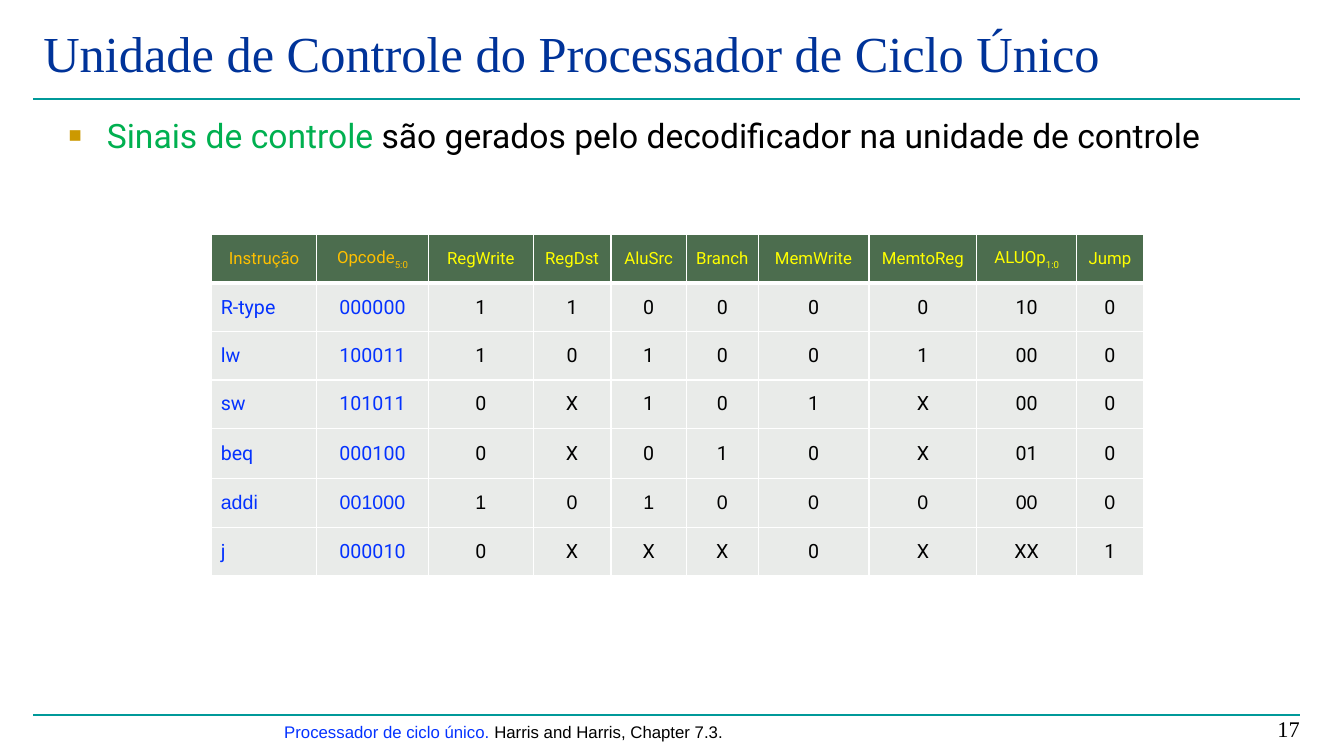
from lxml.etree import SubElement
from pptx import Presentation
from pptx.dml.color import RGBColor
from pptx.enum.shapes import MSO_CONNECTOR
from pptx.enum.text import MSO_ANCHOR as ANCHOR, MSO_AUTO_SIZE as AUTO, PP_ALIGN as ALIGN
from pptx.oxml import parse_xml
from pptx.oxml.ns import nsdecls, qn
from pptx.util import Inches, Pt

WHITE = RGBColor(0xFF, 0xFF, 0xFF)
BLACK = RGBColor(0x00, 0x00, 0x00)
TEAL = RGBColor(0x00, 0x99, 0x99)
NAVY = RGBColor(0x00, 0x33, 0x99)
BLUE = RGBColor(0x04, 0x32, 0xFF)
GREEN = RGBColor(0x00, 0xB0, 0x50)
GOLD = RGBColor(0xCC, 0x99, 0x00)
AMBER = RGBColor(0xFF, 0xC0, 0x00)
YELLOW = RGBColor(0xFF, 0xFF, 0x00)
HEADER_FILL = RGBColor(0x4C, 0x6D, 0x4E)
ROW_FILL = RGBColor(0xE9, 0xEB, 0xE9)

COLUMN_WIDTHS = [1.04, 1.11, 1.04, 0.77, 0.75, 0.71, 1.1, 1.07, 0.99, 0.66]
ROW_HEIGHTS = [0.48, 0.48, 0.48, 0.48, 0.5, 0.48, 0.48]
# A header is a name, or a name and its subscript
HEADERS = ["Instrução", ("Opcode", "5:0"), "RegWrite", "RegDst", "AluSrc",
           "Branch", "MemWrite", "MemtoReg", ("ALUOp", "1:0"), "Jump"]
INSTRUCTIONS = [
    "R-type 000000 1 1 0 0 0 0 10 0",
    "lw 100011 1 0 1 0 0 1 00 0",
    "sw 101011 0 X 1 0 1 X 00 0",
    "beq 000100 0 X 0 1 0 X 01 0",
    "addi 001000 1 0 1 0 0 0 00 0",
    "j 000010 0 X X X 0 X XX 1",
]


def add_run(p, text, font="Roboto", size=12, color=BLACK, baseline=0):
    r = p.add_run()
    r.text = text
    r.font.name, r.font.size = font, Pt(size)
    r.font.color.rgb = color
    if baseline:
        r._r.get_or_add_rPr().set("baseline", str(baseline * 1000))


def add_bullet(p, char, color, percent, indent):
    pPr = p._p.get_or_add_pPr()
    pPr.set("marL", str(Inches(indent)))
    pPr.set("indent", str(-Inches(indent)))
    SubElement(SubElement(pPr, qn("a:buClr")), qn("a:srgbClr"), val=str(color))
    SubElement(pPr, qn("a:buSzPct"), val=str(percent * 1000))
    SubElement(pPr, qn("a:buFont"), typeface="Arial")
    SubElement(pPr, qn("a:buChar"), char=char)


def set_borders(cell, **widths):
    """Draw white borders, with a width in points for each of L, R, T and B."""
    tcPr = cell._tc.get_or_add_tcPr()
    for i, side in enumerate("LRTB"):
        tcPr.insert(i, parse_xml(
            f'<a:ln{side} {nsdecls("a")} w="{Pt(widths.get(side, 1))}">'
            f'<a:solidFill><a:srgbClr val="{WHITE}"/></a:solidFill></a:ln{side}>'))


class SlideBuilder:
    def __init__(self, prs):
        self.s = prs.slides.add_slide(prs.slide_layouts[1])

    def rule(self, y):
        line = self.s.shapes.add_connector(
            MSO_CONNECTOR.STRAIGHT, Inches(0.33), Inches(y), Inches(12.89), Inches(y))
        line.line.color.rgb, line.line.width = TEAL, Pt(1.5)
        SubElement(line._element.spPr, qn("a:effectLst"))

    def fill_text(self, sp, box, runs, align=ALIGN.LEFT, anchor=ANCHOR.TOP):
        sp.left, sp.top, sp.width, sp.height = map(Inches, box)
        tf = sp.text_frame
        tf.word_wrap, tf.auto_size, tf.vertical_anchor = True, AUTO.NONE, anchor
        p = tf.paragraphs[0]
        p.alignment, p.space_before = align, Pt(0)
        for text, style in runs:
            add_run(p, text, **style)
        return p

    def title(self, box, text):
        self.fill_text(self.s.shapes.title, box,
                       [(text, dict(font="Times New Roman", size=36, color=NAVY))])

    def body(self, box, runs):
        p = self.fill_text(self.s.placeholders[1], box, runs)
        add_bullet(p, "■", GOLD, 65, 0.38)

    def text(self, box, runs, **layout):
        sp = self.s.shapes.add_textbox(*map(Inches, box))
        self.fill_text(sp, box, runs, **layout)

    def cell(self, cell, runs, fill, align=ALIGN.CENTER, **borders):
        set_borders(cell, **borders)
        cell.fill.solid()
        cell.fill.fore_color.rgb = fill
        cell.vertical_anchor = ANCHOR.MIDDLE
        cell.margin_left = cell.margin_right = Inches(0.09)
        p = cell.text_frame.paragraphs[0]
        p.alignment = align
        for text, style in runs:
            add_run(p, text, **style)

    def signal_table(self, left, top):
        table = self.s.shapes.add_table(
            len(ROW_HEIGHTS), len(COLUMN_WIDTHS), Inches(left), Inches(top),
            Inches(sum(COLUMN_WIDTHS)), Inches(sum(ROW_HEIGHTS))).table
        for column, width in zip(table.columns, COLUMN_WIDTHS):
            column.width = Inches(width)
        for row, height in zip(table.rows, ROW_HEIGHTS):
            row.height = Inches(height)
        for c, header in enumerate(HEADERS):
            color = AMBER if c < 2 else YELLOW
            name, *subscript = [header] if isinstance(header, str) else header
            runs = [(name, dict(color=color))]
            runs += [(sub, dict(color=color, baseline=-30)) for sub in subscript]
            self.cell(table.cell(0, c), runs, HEADER_FILL, B=3)
        for r, instruction in enumerate(INSTRUCTIONS, 1):
            font = "Arial" if instruction.startswith("addi") else "Roboto"
            for c, value in enumerate(instruction.split()):
                style = dict(font=font, size=14, color=BLUE if c < 2 else BLACK)
                self.cell(table.cell(r, c), [(value, style)], ROW_FILL,
                          ALIGN.CENTER if c else ALIGN.LEFT, T=3 if r == 1 else 1)


def main():
    prs = Presentation()
    prs.slide_width, prs.slide_height = Inches(13.33), Inches(7.5)
    slide = SlideBuilder(prs)
    for y in (7.09, 0.98):
        slide.rule(y)
    slide.body((0.58, 1.09, 11.92, 5.68), [
        ("Sinais de controle ", dict(size=24, color=GREEN)),
        ("são gerados pelo decodificador na unidade de controle", dict(size=24))])
    slide.title((0.33, 0.17, 12.56, 1.17),
                "Unidade de Controle do Processador de Ciclo Único")
    slide.signal_table(2.1, 2.33)
    slide.text((9.88, 6.91, 3.11, 0.5), [("17", dict(font="Times New Roman", size=16))],
               align=ALIGN.RIGHT, anchor=ANCHOR.BOTTOM)
    slide.text((2.72, 7.11, 7.25, 0.3), [
        ("Processador de ciclo único. ", dict(font="Arial", color=BLUE)),
        ("Harris and Harris, Chapter 7.3.", dict(font="Arial"))])
    prs.save("out.pptx")


if __name__ == "__main__":
    main()
